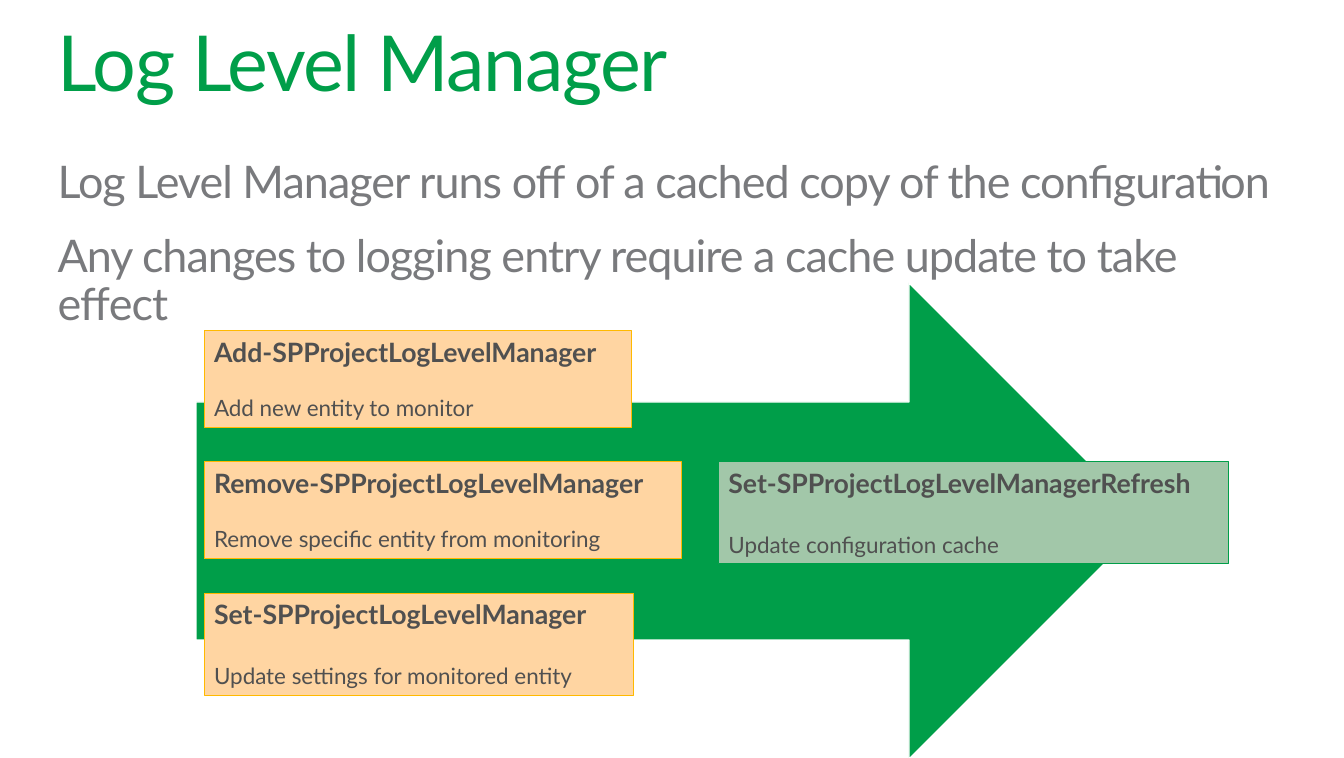
"""Build the Log Level Manager slide."""
from dataclasses import dataclass

import pptx
import pptx.dml.color
import pptx.enum.shapes
import pptx.enum.text
import pptx.util

EMU_PER_PX = 9144
COLORS = {
    "green": "009E49",
    "gray": "797A7D",
    "dark": "505050",
    "white": "FFFFFF",
    "peach": "FFD5A2",
    "amber": "FFB900",
    "sage": "A2C7A9",
}
SHAPE = pptx.enum.shapes.MSO_SHAPE


@dataclass(frozen=True)
class Command:
    name: str
    effect: str
    left: int
    top: int
    width: int
    height: int
    gap: int
    fill: str
    line: str


FIRST_TOP, PITCH = 327, 130
COMMANDS = [
    Command(f"{verb}-SPProjectLogLevelManager", effect, 202,
            FIRST_TOP + i * PITCH, width, height, gap, "peach", "amber")
    for i, (verb, effect, width, height, gap) in enumerate([
        ("Add", "Add new entity to monitor", 423, 96, 19),
        ("Remove", "Remove specific entity from monitoring", 472, 96, 19),
        ("Set", "Update settings for monitored entity", 425, 101, 23),
    ])
] + [
    Command("Set-SPProjectLogLevelManagerRefresh", "Update configuration cache",
            711, FIRST_TOP + PITCH, 505, 101, 23, "sage", "green"),
]


def px(n: int) -> pptx.util.Emu:
    return pptx.util.Emu(n * EMU_PER_PX)


def box(left: int, top: int, width: int, height: int) -> tuple:
    return px(left), px(top), px(width), px(height)


def rgb(name: str) -> pptx.dml.color.RGBColor:
    return pptx.dml.color.RGBColor.from_string(COLORS[name])


def setup_frame(tf, margin_x: int = 0, margin_y: int = 0) -> None:
    tf.word_wrap = True
    tf.auto_size = pptx.enum.text.MSO_AUTO_SIZE.NONE
    tf.vertical_anchor = pptx.enum.text.MSO_ANCHOR.TOP
    tf.margin_left = tf.margin_right = px(margin_x)
    tf.margin_top = tf.margin_bottom = px(margin_y)


def add_text(tf, text: str, *, size: int, color: str, bold: bool = False,
             spacing: int = 0, line: float = 1.0, before: int = 0) -> None:
    p = tf.add_paragraph() if tf.text else tf.paragraphs[0]
    p.alignment = pptx.enum.text.PP_ALIGN.LEFT
    p.line_spacing = line
    p.space_before = pptx.util.Pt(before)
    r = p.add_run()
    r.text = text
    r.font.name = "Lato"
    r.font.size = pptx.util.Pt(size)
    r.font.bold = bold
    r.font.color.rgb = rgb(color)
    if spacing:
        r.font._element.set("spc", str(spacing))


def add_filled(s, kind, bounds: tuple, fill: str, line: str, weight: float):
    sp = s.shapes.add_shape(kind, *bounds)
    sp.shadow.inherit = False
    sp.fill.solid()
    sp.fill.fore_color.rgb = rgb(fill)
    sp.line.color.rgb = rgb(line)
    sp.line.width = pptx.util.Pt(weight)
    return sp


def add_command(s, cmd: Command) -> None:
    bounds = box(cmd.left, cmd.top, cmd.width, cmd.height)
    tf = add_filled(s, SHAPE.RECTANGLE, bounds, cmd.fill, cmd.line, 0.75).text_frame
    setup_frame(tf, 10, 5)
    add_text(tf, cmd.name, size=19, color="dark", bold=True)
    add_text(tf, cmd.effect, size=16, color="dark", before=cmd.gap)


def main() -> None:
    prs = pptx.Presentation()
    prs.slide_width, prs.slide_height = px(1330), px(750)
    s = prs.slides.add_slide(prs.slide_layouts[5])

    title = s.shapes.title
    title.left, title.top, title.width, title.height = box(57, 25, 1217, 82)
    setup_frame(title.text_frame)
    add_text(title.text_frame, "Log Level Manager", size=55, color="green",
             spacing=-100, line=0.9)

    tf = s.shapes.add_textbox(*box(57, 158, 1217, 216)).text_frame
    setup_frame(tf)
    for text, before in (
        ("Log Level Manager runs off of a cached copy of the configuration", 0),
        ("Any changes to logging entry require a cache update to take effect", 18),
    ):
        add_text(tf, text, size=32, color="gray", spacing=-70, line=0.9, before=before)

    add_filled(s, SHAPE.RIGHT_ARROW, box(194, 280, 941, 471), "green", "white", 0.85)
    for cmd in COMMANDS:
        add_command(s, cmd)

    prs.save("out.pptx")


if __name__ == "__main__":
    main()
